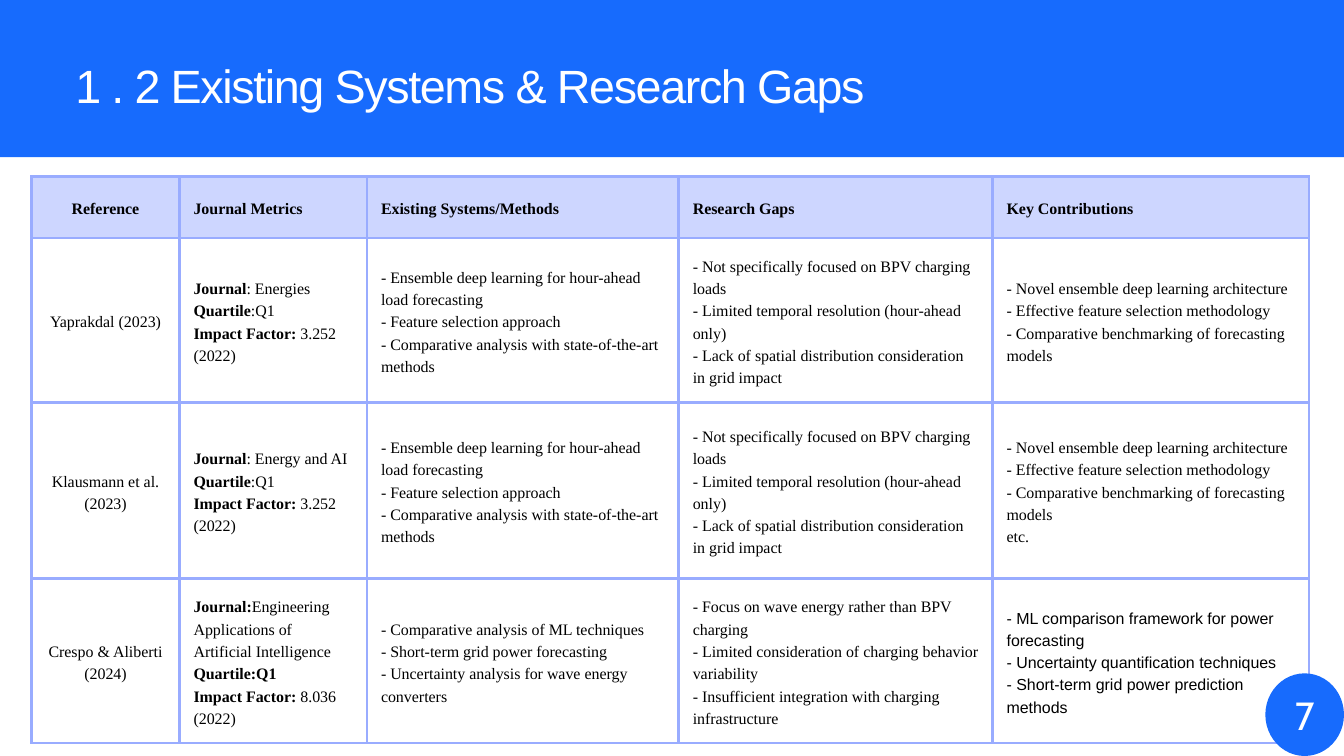
from dataclasses import dataclass

from lxml import etree
from pptx import Presentation
from pptx import util as u
from pptx.dml.color import RGBColor
from pptx.enum import shapes, text
from pptx.oxml import ns

BLUE = RGBColor(0x17, 0x6B, 0xFD)
LAVENDER = RGBColor(0xCD, 0xD6, 0xFF)
BORDER = RGBColor(0x99, 0xAC, 0xFF)
BLACK = RGBColor(0, 0, 0)
WHITE = RGBColor(0xFF, 0xFF, 0xFF)

SERIF = "Times New Roman"
SANS = "Arial"
COLUMN_WIDTHS = [2.2, 2.79, 4.64, 4.67, 4.71]
ROW_HEIGHTS = [0.91, 2.45, 2.62, 2.45]
HEADINGS = ["Reference", "Journal Metrics", "Existing Systems/Methods", "Research Gaps", "Key Contributions"]


@dataclass
class Study:
    reference: str
    metrics: list[str]
    methods: list[str]
    gaps: list[str]
    contributions: list[str]
    contributions_font: str = SERIF


ENSEMBLE_METHODS = [
    "- Ensemble deep learning for hour-ahead load forecasting",
    "- Feature selection approach",
    "- Comparative analysis with state-of-the-art methods",
]
CHARGING_GAPS = [
    "- Not specifically focused on BPV charging loads",
    "- Limited temporal resolution (hour-ahead only)",
    "- Lack of spatial distribution consideration in grid impact",
]
ENSEMBLE_CONTRIBUTIONS = [
    "- Novel ensemble deep learning architecture",
    "- Effective feature selection methodology",
    "- Comparative benchmarking of forecasting models",
]
Q1_METRICS = ["**Quartile**:Q1", "**Impact Factor:** 3.252 (2022)"]

STUDIES = [
    Study("Yaprakdal (2023)", ["**Journal**: Energies", *Q1_METRICS],
          ENSEMBLE_METHODS, CHARGING_GAPS, ENSEMBLE_CONTRIBUTIONS),
    Study("Klausmann et al. (2023)", ["**Journal**: Energy and AI", *Q1_METRICS],
          ENSEMBLE_METHODS, CHARGING_GAPS, [*ENSEMBLE_CONTRIBUTIONS, "etc."]),
    Study(
        "Crespo & Aliberti (2024)",
        ["**Journal:**Engineering Applications of Artificial Intelligence** Quartile:Q1**",
         "**Impact Factor:** 8.036 (2022)"],
        ["- Comparative analysis of ML techniques",
         "- Short-term grid power forecasting",
         "- Uncertainty analysis for wave energy converters"],
        ["- Focus on wave energy rather than BPV charging",
         "- Limited consideration of charging behavior variability",
         "- Insufficient integration with charging infrastructure"],
        ["- ML comparison framework for power forecasting",
         "- Uncertainty quantification techniques",
         "- Short-term grid power prediction methods"],
        SANS,
    ),
]


def write(frame, lines: list[str], *, size: float, leading: float, font: str = SERIF,
          color: RGBColor = BLACK, centered: bool = False, tracking: float = 0) -> None:
    for index, line in enumerate(lines):
        paragraph = frame.paragraphs[0] if index == 0 else frame.add_paragraph()
        paragraph.alignment = text.PP_ALIGN.CENTER if centered else text.PP_ALIGN.LEFT
        paragraph.line_spacing = u.Pt(leading)
        for part, content in enumerate(line.split("**")):
            if not content:
                continue
            run = paragraph.add_run()
            run.text = content
            run.font.name = font
            run.font.size = u.Pt(size)
            run.font.bold = part % 2 == 1
            run.font.color.rgb = color
            if tracking:
                run.font._element.set("spc", str(int(tracking * 100)))


def set_insets(frame, inset: float) -> None:
    frame.margin_left = frame.margin_right = u.Inches(inset)
    frame.margin_top = frame.margin_bottom = u.Inches(inset)


def add_blue_shape(slide, kind, left: float, top: float, width: float, height: float):
    shape = slide.shapes.add_shape(kind, u.Inches(left), u.Inches(top), u.Inches(width), u.Inches(height))
    shape.shadow.inherit = False
    shape.fill.solid()
    shape.fill.fore_color.rgb = BLUE
    shape.line.fill.background()
    return shape


def add_borders(cell) -> None:
    properties = cell._tc.get_or_add_tcPr()
    for side in ("a:lnL", "a:lnR", "a:lnT", "a:lnB"):
        line = etree.SubElement(properties, ns.qn(side), w=str(u.Pt(3)))
        fill = etree.SubElement(line, ns.qn("a:solidFill"))
        etree.SubElement(fill, ns.qn("a:srgbClr"), val=str(BORDER))


def fill_cell(cell, lines: list[str], *, header: bool = False, centered: bool = False,
              font: str = SERIF) -> None:
    set_insets(cell, 0.21)
    cell.vertical_anchor = text.MSO_ANCHOR.MIDDLE
    add_borders(cell)
    if header:
        cell.fill.solid()
        cell.fill.fore_color.rgb = LAVENDER
    else:
        cell.fill.background()
    write(cell.text_frame, lines, size=17.1, leading=23.9, font=font, centered=centered)


def add_title(slide) -> None:
    banner = add_blue_shape(slide, shapes.MSO_SHAPE.RECTANGLE, 0, 0, 20, 2.34)
    title = slide.shapes.title
    title.element.addprevious(banner.element)
    title.left, title.top = u.Inches(1.12), u.Inches(0.78)
    title.width, title.height = u.Inches(17.75), u.Inches(0.89)
    frame = title.text_frame
    set_insets(frame, 0)
    frame.vertical_anchor = text.MSO_ANCHOR.TOP
    frame.auto_size = text.MSO_AUTO_SIZE.SHAPE_TO_FIT_TEXT
    write(frame, ["1 . 2 Existing Systems & Research Gaps"], size=50, leading=65,
          font=SANS, color=WHITE, tracking=-1.5)


def add_studies(slide) -> None:
    table = slide.shapes.add_table(
        len(ROW_HEIGHTS), len(COLUMN_WIDTHS), u.Inches(0.47), u.Inches(2.63),
        u.Inches(sum(COLUMN_WIDTHS)), u.Inches(sum(ROW_HEIGHTS))).table
    table.horz_banding = False
    for column, width in zip(table.columns, COLUMN_WIDTHS):
        column.width = u.Inches(width)
    for row, height in zip(table.rows, ROW_HEIGHTS):
        row.height = u.Inches(height)
    for column, heading in enumerate(HEADINGS):
        fill_cell(table.cell(0, column), [f"**{heading}**"], header=True, centered=column == 0)
    for row, study in enumerate(STUDIES, 1):
        fill_cell(table.cell(row, 0), [study.reference], centered=True)
        fill_cell(table.cell(row, 1), study.metrics)
        fill_cell(table.cell(row, 2), study.methods)
        fill_cell(table.cell(row, 3), study.gaps)
        fill_cell(table.cell(row, 4), study.contributions, font=study.contributions_font)


def add_page_number(slide) -> None:
    add_blue_shape(slide, shapes.MSO_SHAPE.OVAL, 18.83, 10.02, 1.17, 1.23)
    number = slide.shapes.add_textbox(u.Inches(18.94), u.Inches(10.02), u.Inches(0.95), u.Inches(1.11))
    frame = number.text_frame
    frame.word_wrap = True
    frame.vertical_anchor = text.MSO_ANCHOR.MIDDLE
    set_insets(frame, 0.06)
    write(frame, ["7"], size=42, leading=58.8, font="Cabin", color=WHITE, centered=True)


def main() -> None:
    presentation = Presentation()
    presentation.slide_width = u.Inches(20)
    presentation.slide_height = u.Inches(11.25)
    slide = presentation.slides.add_slide(presentation.slide_layouts[5])
    add_title(slide)
    add_studies(slide)
    add_page_number(slide)
    presentation.save("out.pptx")


if __name__ == "__main__":
    main()
